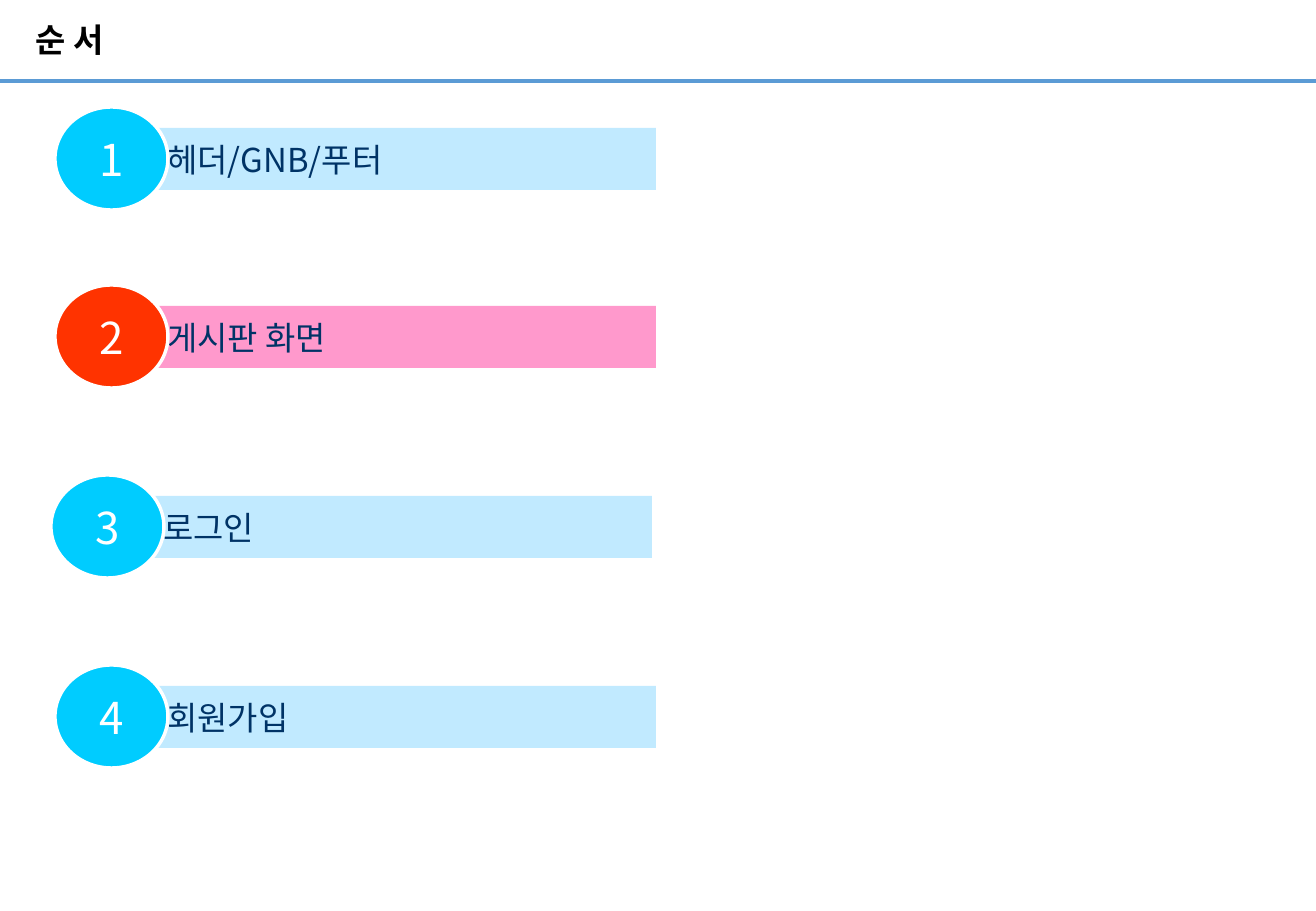
from lxml import etree
from pptx import Presentation
from pptx.dml.color import RGBColor
from pptx.enum.shapes import MSO_CONNECTOR, MSO_SHAPE
from pptx.enum.text import MSO_ANCHOR, PP_ALIGN
from pptx.oxml.ns import qn
from pptx.util import Pt

PX = 914400 / 121.5
RECTANGLE, OVAL = MSO_SHAPE.RECTANGLE, MSO_SHAPE.OVAL
STRAIGHT = MSO_CONNECTOR.STRAIGHT
MIDDLE = MSO_ANCHOR.MIDDLE
LEFT, CENTER = PP_ALIGN.LEFT, PP_ALIGN.CENTER

SLIDE_WIDTH, SLIDE_HEIGHT = 1316, 911
KOREAN = "Noto Sans CJK KR"
BLUE = ("00CCFF", "C1EAFF")
PINK = ("FF3300", "FF99CC")
SECTIONS = [
    ("헤더/GNB/푸터", 55, 107, BLUE),
    ("게시판 화면", 55, 285, PINK),
    ("로그인", 51, 475, BLUE),
    ("회원가입", 55, 665, BLUE),
]


def px(*lengths):
    return [round(length * PX) for length in lengths]


def rgb(color):
    return RGBColor.from_string(color)


def write(holder, text, size, color, font=KOREAN, bold=False, align=LEFT, indent=0):
    frame = holder.text_frame
    frame.text = text
    frame.word_wrap = True
    frame.vertical_anchor = MIDDLE
    frame.margin_left = px(indent)[0]
    frame.margin_right = frame.margin_top = frame.margin_bottom = 0
    paragraph = frame.paragraphs[0]
    paragraph.alignment = align
    run = paragraph.runs[0]
    run.font.name = font
    run.font.size = Pt(size)
    run.font.bold = bold
    run.font.color.rgb = rgb(color)
    east_asian = etree.SubElement(run.font._element, qn("a:ea"))
    east_asian.set("typeface", KOREAN)


def add_filled(slide, kind, box, fill):
    filled = slide.shapes.add_shape(kind, *px(*box))
    filled.shadow.inherit = False
    filled.fill.solid()
    filled.fill.fore_color.rgb = rgb(fill)
    filled.line.fill.background()
    return filled


def add_header(slide, text):
    rule = slide.shapes.add_connector(STRAIGHT, *px(0, 81, SLIDE_WIDTH, 81))
    rule.line.color.rgb = rgb("5B9BD5")
    rule.line.width = Pt(2.25)
    etree.SubElement(rule._element.spPr, qn("a:effectLst"))
    title = slide.shapes.add_textbox(*px(36, 0, 861, 83))
    write(title, text, 19.5, "000000", font="Arial", bold=True)
    title.text_frame.paragraphs[0].line_spacing = 0.9


def add_section(slide, number, label, left, top, colors):
    badge_color, bar_color = colors
    bar = add_filled(slide, RECTANGLE, (left + 45, top + 21, 556, 62), bar_color)
    write(bar, label, 19.5, "003366", indent=67)
    badge = add_filled(slide, OVAL, (left, top, 113, 103), badge_color)
    badge.line.color.rgb = rgb("FFFFFF")
    badge.line.width = Pt(2)
    write(badge, str(number), 26, "FFFFFF", align=CENTER)


def main():
    deck = Presentation()
    deck.slide_width, deck.slide_height = px(SLIDE_WIDTH, SLIDE_HEIGHT)
    slide = deck.slides.add_slide(deck.slide_layouts[6])
    add_header(slide, "순 서")
    for number, section in enumerate(SECTIONS, 1):
        add_section(slide, number, *section)
    deck.save("out.pptx")


if __name__ == "__main__":
    main()
